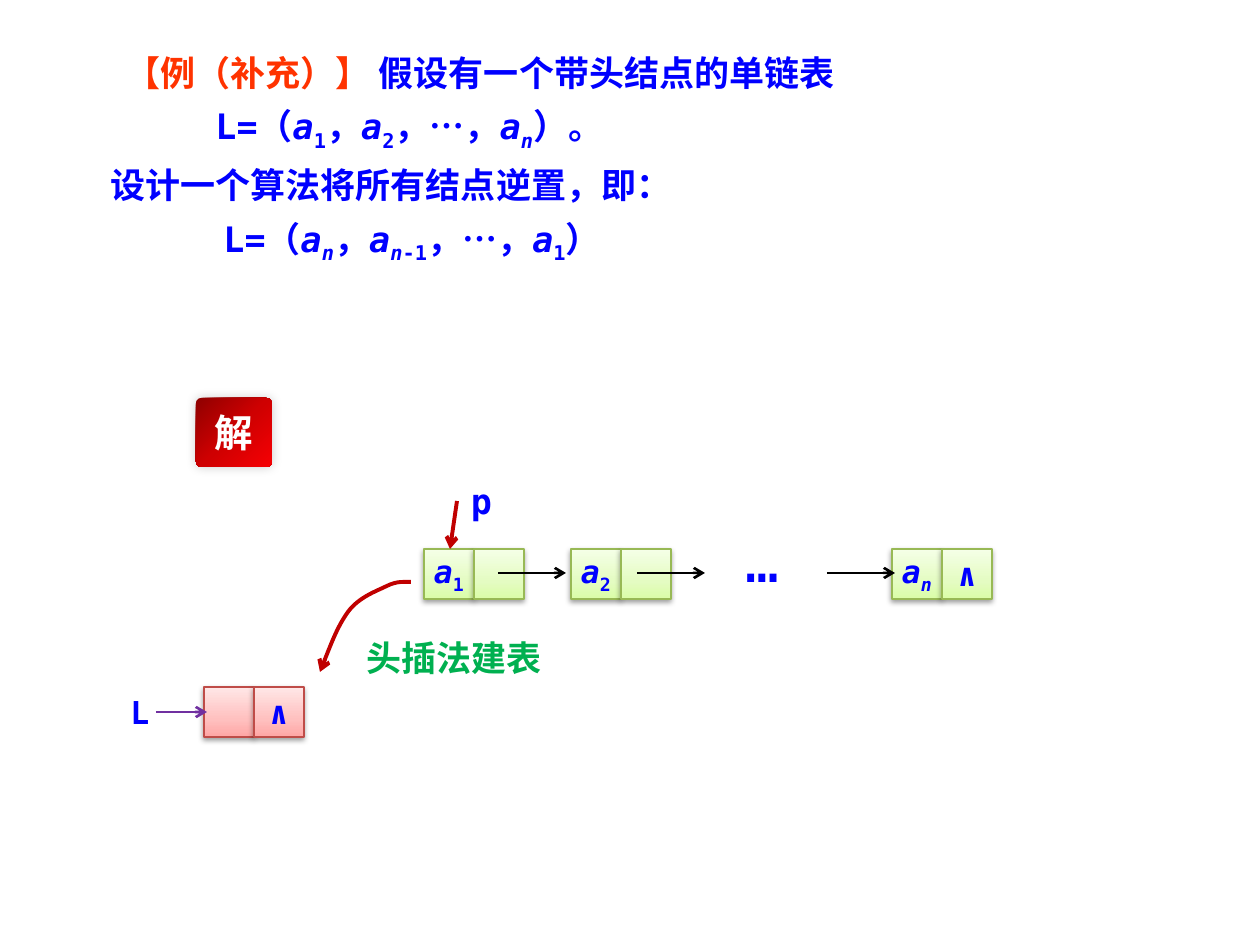
from dataclasses import dataclass
from lxml import etree
from pptx import Presentation
from pptx.dml.color import RGBColor as RGB
from pptx.enum.shapes import MSO_CONNECTOR as CONN, MSO_SHAPE as SHAPE
from pptx.enum.text import MSO_ANCHOR as ANCHOR, PP_ALIGN as ALIGN
from pptx.oxml import parse_xml
from pptx.oxml.ns import nsdecls, qn
from pptx.util import Emu, Pt


@dataclass(frozen=True)
class Theme:
    mono: str = "DejaVu Sans Mono"
    cjk: str = "Noto Sans CJK SC"
    sans: str = "Arial"
    blue: str = "0000FF"
    orange: str = "FF3300"
    green: str = "00B050"
    white: str = "FFFFFF"
    black: str = "000000"
    crimson: str = "C00000"
    purple: str = "7030A0"
    node: tuple = ((0, "DAFDA7"), (35, "E4FCC2"), (100, "F5FFE7"))
    node_line: str = "98B955"
    head: tuple = ((0, "FFA6A5"), (35, "FFC0BF"), (100, "FFE7E7"))
    head_line: str = "BF4C48"
    badge: tuple = ((0, "8F0000"), (50, "CF0001"), (100, "F60004"))
    body: int = 20
    cell: int = 18
    title: int = 22
    dots: int = 32


T = Theme()
VAR, SUB, VSUB = {"italic": True}, {"sub": True}, {"italic": True, "sub": True}
A1, A2, AN = [[("a", VAR), (k, f)] for k, f in (("1", SUB), ("2", SUB), ("n", VSUB))]
COMMA = [("，", {})]
DOTS = [("，", {}), ("…", {"name": T.sans}), ("，", {})]


class Deck:
    """Draws styled elements on one slide, with lengths in px."""

    def __init__(self, width, height, scale):
        self.scale = scale
        self.prs = Presentation()
        self.prs.slide_width, self.prs.slide_height = self.emu(width, height)
        self.s = self.prs.slides.add_slide(self.prs.slide_layouts[6])

    def emu(self, *lengths):
        return [Emu(round(n * 914400 / self.scale)) for n in lengths]

    def add_runs(self, p, runs, size, color=T.blue, **base):
        for text, extra in runs:
            r = p.add_run()
            r.text = text
            fmt = {"name": T.mono, "size": Pt(size), "bold": True, **base, **extra}
            sub, ink = fmt.pop("sub", False), fmt.pop("color", color)
            for key, value in fmt.items():
                setattr(r.font, key, value)
            r.font.color.rgb = RGB.from_string(ink)
            rPr = r.font._element
            etree.SubElement(rPr, qn("a:ea")).set("typeface", T.cjk)
            if sub:
                rPr.set("baseline", "-25000")

    def text(self, box, lines, size=T.body, align=ALIGN.LEFT, gap=0, **base):
        tf = self.s.shapes.add_textbox(*self.emu(*box)).text_frame
        tf.word_wrap = True
        for i, (indent, runs) in enumerate(lines):
            p = tf.paragraphs[0] if i == 0 else tf.add_paragraph()
            p.alignment = align
            if i:
                p.space_before = Pt(gap)
            if indent:
                p._p.get_or_add_pPr().set("indent", str(self.emu(indent)[0]))
            self.add_runs(p, runs, size, **base)

    def panel(self, kind, box, stops, angle, shadow, line=None, runs=(), size=T.cell, **base):
        sp = self.s.shapes.add_shape(kind, *self.emu(*box))
        if line:
            sp.line.color.rgb, sp.line.width = RGB.from_string(line), Pt(0.75)
        else:
            sp.line.fill.background()
        sp.fill.background()
        spPr = sp._element.spPr
        gs = "".join(f'<a:gs pos="{at * 1000}"><a:srgbClr val="{c}"/></a:gs>' for at, c in stops)
        spPr.replace(spPr.find(qn("a:noFill")), parse_xml(
            f'<a:gradFill {nsdecls("a")} rotWithShape="1"><a:gsLst>{gs}</a:gsLst>'
            f'<a:lin ang="{angle * 60000}" scaled="0"/></a:gradFill>'))
        blur, dist, turn, alpha = shadow
        spPr.append(parse_xml(
            f'<a:effectLst {nsdecls("a")}><a:outerShdw blurRad="{Pt(blur)}" dist="{Pt(dist)}" '
            f'dir="{turn * 60000}" rotWithShape="0"><a:srgbClr val="{T.black}">'
            f'<a:alpha val="{alpha * 1000}"/></a:srgbClr></a:outerShdw></a:effectLst>'))
        tf = sp.text_frame
        tf.word_wrap, tf.vertical_anchor = False, ANCHOR.MIDDLE
        tf.paragraphs[0].alignment = ALIGN.CENTER
        self.add_runs(tf.paragraphs[0], runs, size, **base)
        return sp

    def node(self, x, y, data, link, stops=T.node, line=T.node_line):
        for i, runs in enumerate((data, link)):
            self.panel(SHAPE.RECTANGLE, (x + 50 * i, y, 50, 50), stops, 270,
                       (3.1, 1.6, 90, 38), line, runs)

    def stroke(self, sp, color, width):
        sp.line.color.rgb, sp.line.width = RGB.from_string(color), Pt(width)
        etree.SubElement(sp.line._get_or_add_ln(), qn("a:tailEnd")).set("type", "arrow")
        etree.SubElement(sp._element.spPr, qn("a:effectLst"))

    def arrow(self, *ends, color=T.black, width=1.5):
        self.stroke(self.s.shapes.add_connector(CONN.STRAIGHT, *self.emu(*ends)), color, width)

    def curve(self, start, points, color, width):
        fb = self.s.shapes.build_freeform(*start, scale=914400 / self.scale)
        fb.add_line_segments(points, close=False)
        sp = fb.convert_to_shape()
        sp.fill.background()
        outline = sp._element.spPr.find(".//" + qn("a:path"))
        legs = outline.findall(qn("a:lnTo"))
        for i in range(0, len(legs), 3):
            bezier = etree.SubElement(outline, qn("a:cubicBezTo"))
            for leg in legs[i:i + 3]:
                bezier.append(leg[0])
                outline.remove(leg)
        self.stroke(sp, color, width)


def main():
    d = Deck(1260, 945, 126)
    d.text((98, 45, 965, 246), [
        (15, [("【例（补充）】 ", {"color": T.orange}), ("假设有一个带头结点的单链表", {})]),
        (105, [("L=（", {}), *A1, *COMMA, *A2, *DOTS, *AN, ("）。", {})]),
        (0, [("设计一个算法将所有结点逆置，即：", {})]),
        (113, [("L=（", {}), *AN, *COMMA, *AN, ("-1", SUB), *DOTS, *A1, ("）", {})]),
    ], align=ALIGN.JUSTIFY, gap=6.5)

    nil = [("∧", {})]
    d.node(204, 687, (), nil, T.head, T.head_line)
    d.arrow(156, 712, 207, 712, color=T.purple)
    d.text((118, 687, 37, 50), [(0, [("L", {})])], T.cell)

    for x, data, link in ((424, A1, ()), (571, A2, ()), (892, AN, nil)):
        d.node(x, 549, data, link)
    for x in (498, 637, 827):
        d.arrow(x, 573, x + 68, 573)
    d.text((733, 520, 100, 79), [(0, [("…", {})])], T.dots, bold=False)

    d.arrow(457, 501, 450, 549, color=T.crimson, width=2.25)
    d.text((447, 473, 69, 55), [(0, [("p", {})])], align=ALIGN.CENTER)
    d.curve((411, 582), [(404, 582), (397, 581), (387, 586), (377, 591), (359, 597),
                         (348, 612), (338, 626), (329, 649), (320, 672)], T.crimson, 2.25)
    d.text((354, 630, 258, 54), [(0, [("头插法建表", {})])], color=T.green, name=T.cjk)

    badge = d.panel(SHAPE.ROUNDED_RECTANGLE, (196, 398, 76, 69), T.badge, 45, (6, 0, 225, 20),
                    runs=[("解", {})], size=T.title, color=T.white, name=T.cjk)
    badge.adjustments[0] = 0.08
    d.prs.save("out.pptx")


if __name__ == "__main__":
    main()
